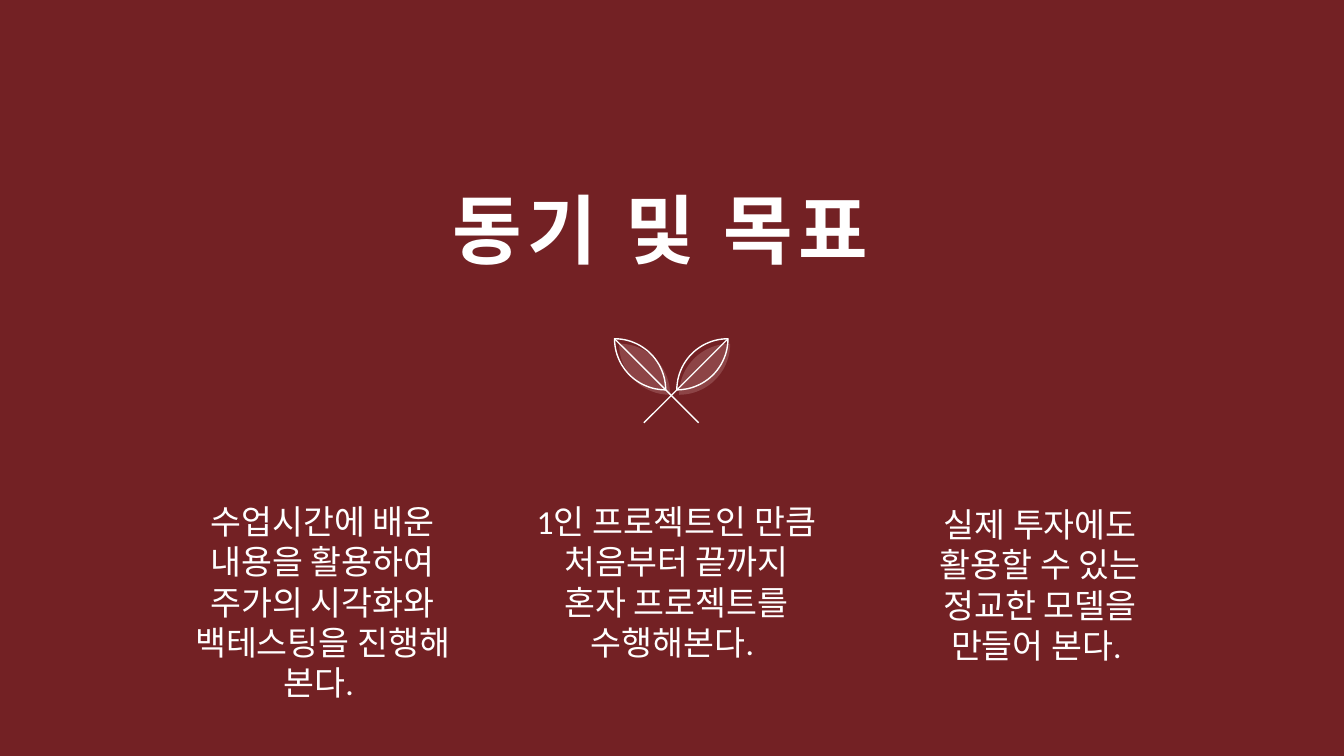
from math import cos, pi, sin

from lxml.etree import SubElement
from pptx import Presentation
from pptx.dml.color import RGBColor
from pptx.enum.shapes import MSO_CONNECTOR, MSO_SHAPE
from pptx.enum.text import MSO_ANCHOR, MSO_AUTO_SIZE, PP_ALIGN
from pptx.oxml.ns import qn
from pptx.util import Pt

WIDE, HIGH = 960, 540
RED, WHITE, PINK = "732124", "FFFFFF", "B4797B"
LEAF, STEM, STEPS = 36.5, 60, 24
GOALS = [
    (122.4, 354.2, 152.6, "수업시간에 배운 내용을 활용하여 주가의 시각화와 백테스팅을 진행해 본다. "),
    (375.1, 354.2, 123.8, "1인 프로젝트인 만큼 처음부터 끝까지 혼자 프로젝트를 수행해본다. "),
    (635, 356.4, 123.8, "실제 투자에도 활용할 수 있는 정교한 모델을 만들어 본다. "),
]


def paint(code):
    return RGBColor.from_string(code)


class Deck:
    """Draws styled elements on the current slide."""

    def __init__(self):
        self.show = Presentation()
        self.show.slide_width, self.show.slide_height = Pt(WIDE), Pt(HIGH)
        self.slide = self.show.slides.add_slide(self.show.slide_layouts[5])
        self.font = "Calibri"

    def back(self, code):
        fill = self.slide.background.fill
        fill.solid()
        fill.fore_color.rgb = paint(code)
        rect = self.slide.shapes.add_shape(MSO_SHAPE.RECTANGLE, 0, 0, Pt(WIDE), Pt(HIGH))
        rect.shadow.inherit = False
        rect.fill.solid()
        rect.fill.fore_color.rgb = paint(code)
        rect.line.fill.background()
        self.slide.shapes._spTree.insert(2, rect._element)

    def label(self, frame, text, size, bold=False):
        frame.word_wrap = True
        para = frame.paragraphs[0]
        para.alignment = PP_ALIGN.CENTER
        run = para.add_run()
        run.text = text
        font = run.font
        font.name, font.size, font.bold = self.font, Pt(size), bold
        font.color.rgb = paint(WHITE)
        return run

    def title(self, x, y, w, h, text):
        box = self.slide.shapes.title
        box.left, box.top, box.width, box.height = Pt(x), Pt(y), Pt(w), Pt(h)
        frame = box.text_frame
        frame.auto_size = MSO_AUTO_SIZE.NONE
        frame.vertical_anchor = MSO_ANCHOR.BOTTOM
        frame.margin_left = frame.margin_right = 0
        frame.margin_top = frame.margin_bottom = 0
        run = self.label(frame, text, 54, True)
        run.font._element.set("spc", "400")

    def note(self, x, y, w, h, text):
        box = self.slide.shapes.add_textbox(Pt(x), Pt(y), Pt(w), Pt(h))
        self.label(box.text_frame, text, 24)
        box.text_frame.auto_size = MSO_AUTO_SIZE.SHAPE_TO_FIT_TEXT

    def group(self):
        return self.slide.shapes.add_group_shape()

    def leaf(self, group, tip, top, side, solid):
        """Draw a leaf from its outer tip; side is 1 to the right, -1 to the left."""
        turns = [pi / 2 * step / STEPS for step in range(STEPS + 1)]
        upper = [(sin(turn), 1 - cos(turn)) for turn in turns]
        lower = [(1 - sin(turn), cos(turn)) for turn in turns]
        dots = [(Pt(tip - side * LEAF * u), Pt(top + LEAF * v))
                for u, v in upper + lower]
        pen = group.shapes.build_freeform(*dots[0])
        pen.add_line_segments(dots[1:], close=True)
        shape = pen.convert_to_shape()
        shape.shadow.inherit = False
        if solid:
            shape.fill.solid()
            shape.fill.fore_color.rgb = paint(PINK)
            color = shape._element.spPr.find(qn("a:solidFill"))[0]
            SubElement(color, qn("a:alpha")).set("val", "40000")
            shape.line.fill.background()
        else:
            shape.fill.background()
            self.ink(shape.line)

    def ink(self, line):
        line.color.rgb, line.width = paint(WHITE), Pt(1)

    def stem(self, group, tip, top, side):
        line = group.shapes.add_connector(
            MSO_CONNECTOR.STRAIGHT, Pt(tip), Pt(top), Pt(tip - side * STEM), Pt(top + STEM))
        self.ink(line.line)
        SubElement(line._element.spPr, qn("a:effectLst"))


def main():
    deck = Deck()
    deck.back(RED)
    deck.title(172.8, 59.8, 614.4, 136, "동기 및 목표 ")
    sprig = deck.group()
    for tip, side in ((521.6, 1), (442.2, -1)):
        deck.leaf(sprig, tip, 245.5, side, True)
    for tip, side in ((520, 1), (439, -1)):
        deck.leaf(sprig, tip, 242, side, False)
        deck.stem(sprig, tip, 242, side)
    for x, y, h, text in GOALS:
        deck.note(x, y, 216, h, text)
    deck.show.save("out.pptx")


if __name__ == "__main__":
    main()
